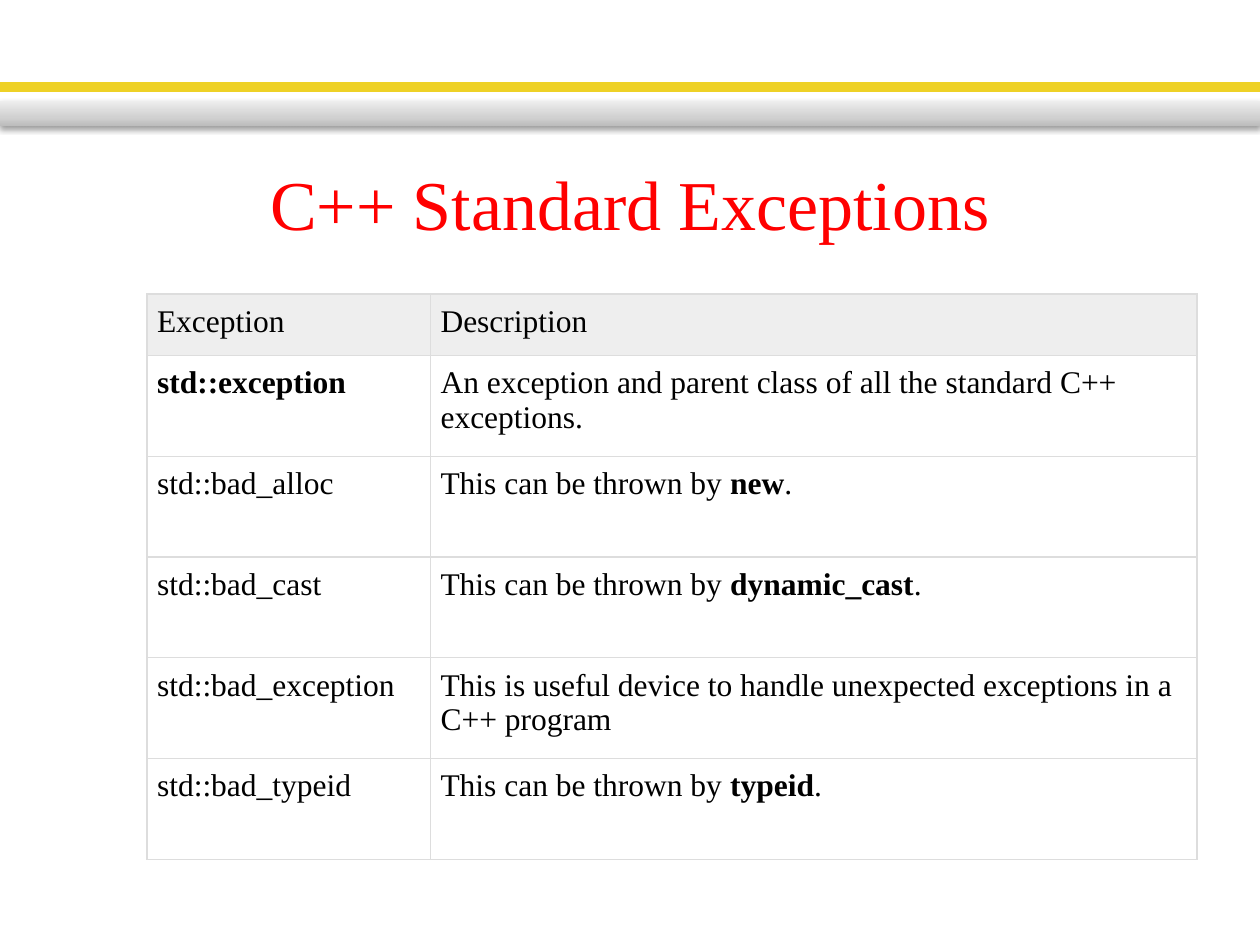
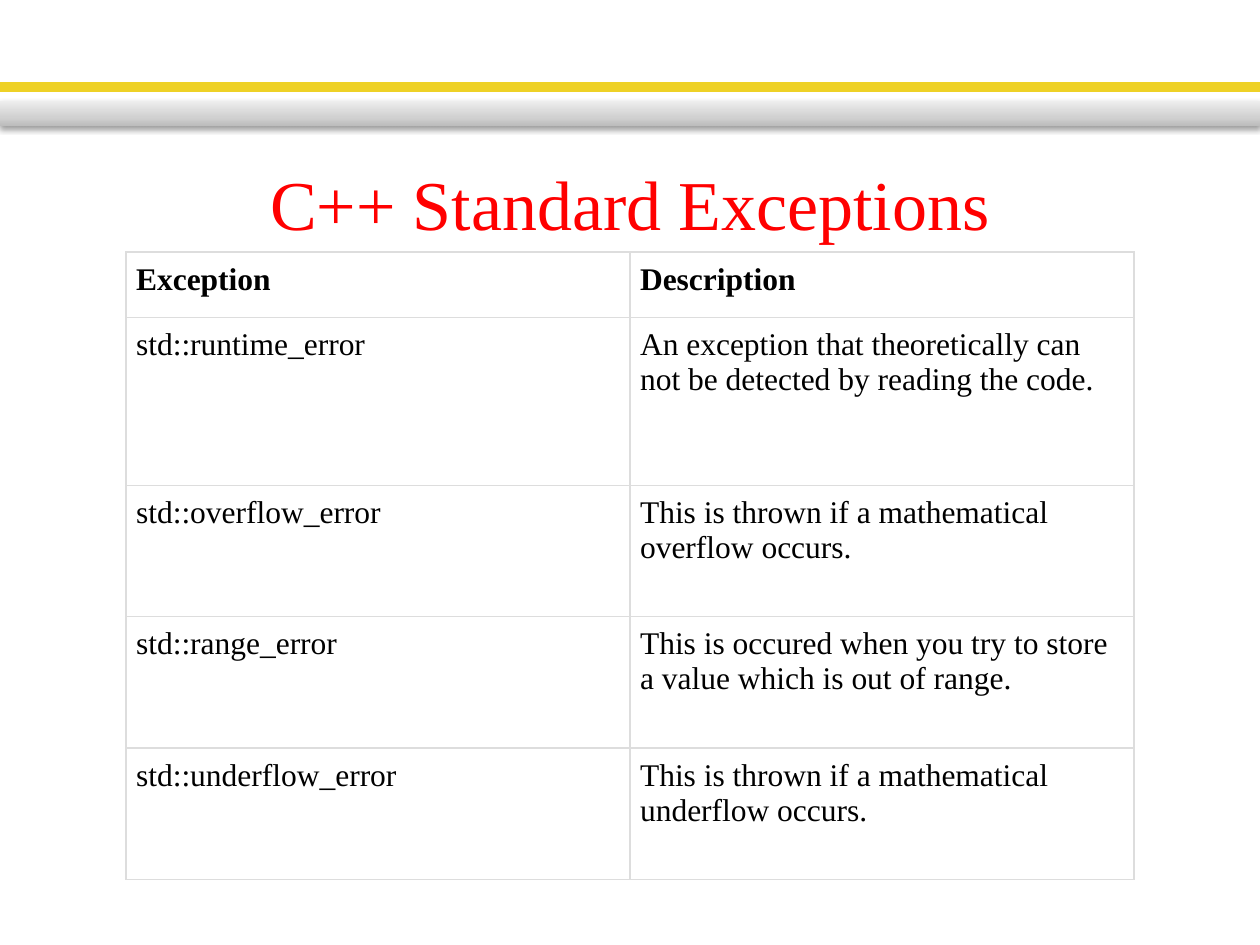
from dataclasses import dataclass

from lxml.etree import SubElement
from pptx import Presentation
from pptx.dml.color import RGBColor
from pptx.enum.shapes import MSO_SHAPE
from pptx.enum.text import MSO_ANCHOR, PP_ALIGN
from pptx.oxml import parse_xml
from pptx.oxml.ns import nsdecls, qn
from pptx.util import Inches, Pt


@dataclass(frozen=True)
class Theme:
    font: str = "Times New Roman"
    title_size: int = 40
    table_size: int = 18
    title: str = "FF0000"
    text: str = "000000"
    stripe: str = "EED126"
    border: str = "DDDDDD"
    header: str = "EEEEEE"
    band_stops: tuple = ((0, "BDBDBD"), (35, "D1D1D1"), (100, "EEEEEE"))
    border_width: float = 0.75
    cell_margin: float = 0.08


class Deck:
    """Places elements on a grid of 120 columns and 90 rows."""

    columns, rows = 120, 90

    def __init__(self, theme):
        self.theme = theme
        self.presentation = Presentation()
        self.presentation.slide_width = Inches(10)
        self.presentation.slide_height = Inches(7.5)
        self.slide = None

    def across(self, columns):
        return round(self.presentation.slide_width * columns / self.columns)

    def down(self, rows):
        return round(self.presentation.slide_height * rows / self.rows)

    def box(self, left, top, width, height):
        return self.across(left), self.down(top), self.across(width), self.down(height)

    def add_slide(self, title):
        self.slide = self.presentation.slides.add_slide(self.presentation.slide_layouts[6])
        self.add_stripe()
        self.add_band()
        self.add_title(title)

    def add_bar(self, top, height):
        bar = self.slide.shapes.add_shape(
            MSO_SHAPE.RECTANGLE, *self.box(0, top, self.columns, height))
        bar.shadow.inherit = False
        return bar

    def add_stripe(self):
        stripe = self.add_bar(8, 0.6)
        color = RGBColor.from_string(self.theme.stripe)
        stripe.fill.solid()
        stripe.fill.fore_color.rgb = color
        stripe.line.color.rgb = color
        stripe.line.width = Pt(2)

    def add_band(self):
        band = self.add_bar(9.6, 2.4)
        band.line.fill.background()
        properties = band._element.spPr
        # Three-stop gradient, darkest at the bottom
        stops = "".join(
            f'<a:gs pos="{position * 1000}"><a:srgbClr val="{color}"/></a:gs>'
            for position, color in self.theme.band_stops)
        properties.find(qn("a:prstGeom")).addnext(parse_xml(
            f'<a:gradFill {nsdecls("a")} rotWithShape="1"><a:gsLst>{stops}</a:gsLst>'
            '<a:lin ang="16200000" scaled="0"/></a:gradFill>'))
        # Soft shadow below the band
        shadow = SubElement(
            properties.find(qn("a:effectLst")), qn("a:outerShdw"),
            blurRad=str(Pt(3.1)), dist=str(Pt(1.6)), dir="5400000", rotWithShape="0")
        color = SubElement(shadow, qn("a:srgbClr"), val=self.theme.text)
        SubElement(color, qn("a:alpha"), val="38000")

    def format_run(self, run, size, color, bold=False):
        run.font.name = self.theme.font
        run.font.size = Pt(size)
        run.font.bold = bold
        run.font.color.rgb = RGBColor.from_string(color)

    def add_title(self, title):
        text_frame = self.slide.shapes.add_textbox(*self.box(6, 14, 108, 12)).text_frame
        text_frame.word_wrap = True
        text_frame.vertical_anchor = MSO_ANCHOR.TOP
        text_frame.margin_top = Inches(0.11)
        text_frame.text = title
        paragraph = text_frame.paragraphs[0]
        paragraph.alignment = PP_ALIGN.CENTER
        self.format_run(paragraph.runs[0], self.theme.title_size, self.theme.title)

    def add_table(self, left, top, widths, heights, content, header_fill=None):
        table = self.slide.shapes.add_table(
            len(heights), len(widths),
            *self.box(left, top, sum(widths), sum(heights))).table
        table.first_row = table.horz_banding = False
        for column, width in zip(table.columns, widths):
            column.width = self.across(width)
        for row, height in zip(table.rows, heights):
            row.height = self.down(height)
        for row_index, texts in enumerate(content):
            for column_index, text in enumerate(texts):
                fill = header_fill if row_index == 0 else None
                self.fill_cell(table.cell(row_index, column_index), text, fill)

    def fill_cell(self, cell, text, fill):
        """Write text in a cell; parts between asterisks are bold."""
        margin = Inches(self.theme.cell_margin)
        cell.margin_left = cell.margin_right = margin
        cell.margin_top = cell.margin_bottom = margin
        paragraph = cell.text_frame.paragraphs[0]
        for index, part in enumerate(text.split("*")):
            if part:
                run = paragraph.add_run()
                run.text = part
                self.format_run(run, self.theme.table_size, self.theme.text, index % 2 == 1)
        # Borders come before the fill in the cell properties
        properties = cell._tc.get_or_add_tcPr()
        for side in ("a:lnL", "a:lnR", "a:lnT", "a:lnB"):
            line = SubElement(properties, qn(side), w=str(Pt(self.theme.border_width)))
            line_fill = SubElement(line, qn("a:solidFill"))
            SubElement(line_fill, qn("a:srgbClr"), val=self.theme.border)
        if fill:
            cell.fill.solid()
            cell.fill.fore_color.rgb = RGBColor.from_string(fill)
        else:
            cell.fill.background()


TITLE = "C++ Standard Exceptions"
THROWN_BY = "This can be thrown by\u00a0*{}*."
THROWN_IF = "This is thrown if a mathematical {} occurs."

theme = Theme()
deck = Deck(theme)

# Slide 1: base class and language exceptions
deck.add_slide(TITLE)
deck.add_table(14, 28, [27, 73], [5.85] + [9.6] * 5, [
    ("Exception", "Description"),
    ("*std::exception*", "An exception and parent class of all the standard C++ exceptions."),
    ("std::bad_alloc", THROWN_BY.format("new")),
    ("std::bad_cast", THROWN_BY.format("dynamic_cast")),
    ("std::bad_exception",
     "This is useful device to handle unexpected exceptions in a C++ program"),
    ("std::bad_typeid", THROWN_BY.format("typeid")),
], theme.header)

# Slide 2: runtime errors
deck.add_slide(TITLE)
deck.add_table(12, 24, [48, 48], [6.25, 16] + [12.5] * 3, [
    ("*Exception*", "*Description*"),
    ("std::runtime_error",
     "An exception that theoretically can not be detected by reading the code."),
    ("std::overflow_error", THROWN_IF.format("overflow")),
    ("std::range_error",
     "This is occured when you try to store a value which is out of range."),
    ("std::underflow_error", THROWN_IF.format("underflow")),
])

deck.presentation.save("out.pptx")
